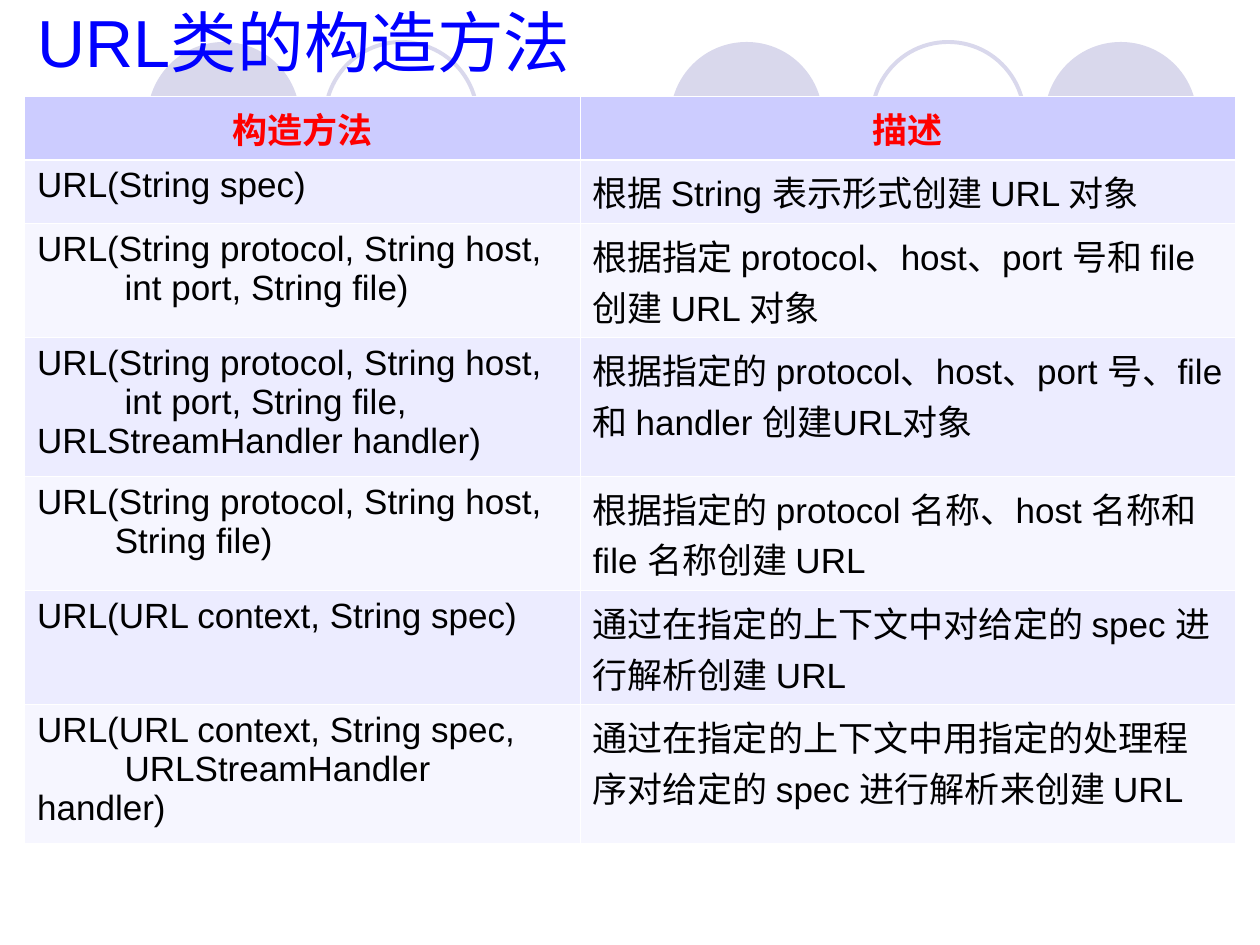
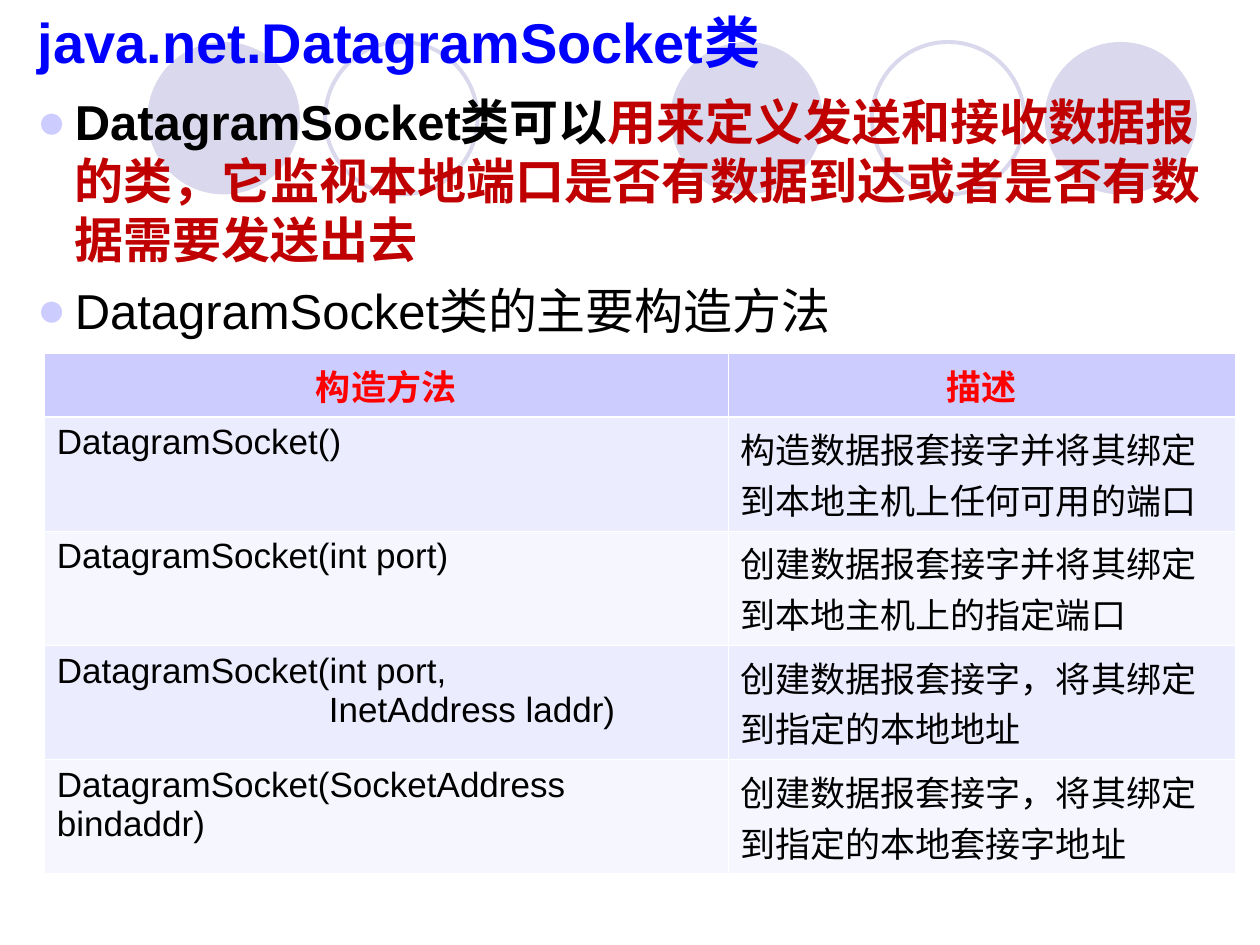
from collections import namedtuple

from lxml import etree
from pptx import Presentation
from pptx import util as u
from pptx.dml.color import RGBColor
from pptx.enum import lang, shapes, text
from pptx.oxml import ns

# The page is a grid of 100 columns by 75 rows.
WIDTH, HEIGHT = u.Inches(10), u.Inches(7.5)
COLUMN, ROW = WIDTH / 100, HEIGHT / 75

FONT = "Arial"
BLACK = RGBColor(0x00, 0x00, 0x00)
WHITE = RGBColor(0xFF, 0xFF, 0xFF)
BLUE = RGBColor(0x00, 0x00, 0xFF)
RED = RGBColor(0xFF, 0x00, 0x00)
DARK_RED = RGBColor(0xC0, 0x00, 0x00)
CIRCLE = RGBColor(0xD9, 0xD8, 0xEC)
LAVENDER = RGBColor(0xCC, 0xCC, 0xFF)
STRIPES = RGBColor(0xEC, 0xEC, 0xFF), RGBColor(0xF6, 0xF6, 0xFF)

THIN, THICK = 0.45, 1.47
HEADINGS = "构造方法", "描述"
LINE, TWO_LINES, THREE_LINES = 5.03, 9.06, 11

Box = namedtuple("Box", "left top width height")
TITLE_BOX = Box(2, 0.5, 96.1, 5.5)
BODY_BOX = Box(1.95, 6.8, 96.1, 65.4)

URL_ROWS = [
    (LINE, "URL(String spec)", "根据 String 表示形式创建 URL 对象"),
    (TWO_LINES, "URL(String protocol, String host,\n         int port, String file)",
     "根据指定 protocol、host、port 号和 file 创建 URL 对象"),
    (THREE_LINES, "URL(String protocol, String host,\n"
     "         int port, String file, URLStreamHandler handler)",
     "根据指定的 protocol、host、port 号、file 和 handler 创建URL对象"),
    (TWO_LINES, "URL(String protocol, String host,\n        String file)",
     "根据指定的 protocol 名称、host 名称和 file 名称创建 URL"),
    (TWO_LINES, "URL(URL context, String spec)",
     "通过在指定的上下文中对给定的 spec 进行解析创建 URL"),
    (THREE_LINES, "URL(URL context, String spec,\n         URLStreamHandler handler)",
     "通过在指定的上下文中用指定的处理程序对给定的 spec 进行解析来创建 URL"),
]
SOCKET_ROWS = [
    (TWO_LINES, "DatagramSocket()", "构造数据报套接字并将其绑定到本地主机上任何可用的端口"),
    (TWO_LINES, "DatagramSocket(int port)", "创建数据报套接字并将其绑定到本地主机上的指定端口"),
    (TWO_LINES, "DatagramSocket(int port,\n                            InetAddress laddr)",
     "创建数据报套接字，将其绑定到指定的本地地址"),
    (TWO_LINES, "DatagramSocket(SocketAddress bindaddr)",
     "创建数据报套接字，将其绑定到指定的本地套接字地址"),
]


def place(box):
    """Turn a box in grid units into lengths on the page."""
    return [round(size * unit) for size, unit in zip(box, (COLUMN, ROW) * 2)]


def write(para, words, size=20, color=BLACK, bold=False):
    span = para.add_run()
    span.text = words
    font = span.font
    font.name, font.size, font.bold = FONT, u.Pt(size), bold
    font.color.rgb = color
    font.language_id = lang.MSO_LANGUAGE_ID.SIMPLIFIED_CHINESE


def add_child(parent, tag, **attributes):
    return etree.SubElement(parent, ns.qn(tag), attributes)


def add_circles(page, layout):
    """Put the row of circles behind everything on the shared layout."""
    for left, filled in [(11.7, True), (25.8, False), (53.2, True), (69.2, False), (82.9, True)]:
        circle = page.shapes.add_shape(
            shapes.MSO_SHAPE.OVAL, *place(Box(left, 3.33, 12.1, 12.1)))
        circle.shadow.inherit = False
        if filled:
            circle.fill.solid()
            circle.fill.fore_color.rgb = CIRCLE
            circle.line.fill.background()
        else:
            circle.fill.background()
            circle.line.color.rgb = CIRCLE
            circle.line.width = u.Pt(2.25)
        layout.shapes.element.insert(2, circle.element)


def add_title(page, words, **style):
    title = page.shapes.title
    title.left, title.top, title.width, title.height = place(TITLE_BOX)
    frame = title.text_frame
    frame.auto_size = text.MSO_AUTO_SIZE.NONE
    frame.vertical_anchor = text.MSO_ANCHOR.MIDDLE
    para = frame.paragraphs[0]
    para.alignment = text.PP_ALIGN.LEFT
    write(para, words, color=BLUE, **style)


def add_bullet(para):
    indent = round(3 * COLUMN)
    props = para._p.get_or_add_pPr()
    props.set("marL", str(indent))
    props.set("indent", str(-indent))
    add_child(add_child(props, "a:buClr"), "a:srgbClr", val=str(LAVENDER))
    add_child(props, "a:buFont", typeface=FONT)
    add_child(props, "a:buChar", char="●")


def add_body(page, box, bullets):
    """Write bullets, each a list of (words, format) spans."""
    frame = page.shapes.add_textbox(*place(box)).text_frame
    frame.word_wrap = True
    for index, spans in enumerate(bullets):
        para = frame.add_paragraph() if index else frame.paragraphs[0]
        add_bullet(para)
        if index:
            para.space_before = u.Pt(7)
        for words, style in spans:
            write(para, words, size=28, **style)


def set_borders(cell, row):
    props = cell._tc.get_or_add_tcPr()
    widths = {"L": THIN, "R": THIN,
              "T": THICK if row == 1 else THIN, "B": THICK if row == 0 else THIN}
    for side, width in widths.items():
        line = add_child(props, f"a:ln{side}", w=str(u.Pt(width)))
        add_child(add_child(line, "a:solidFill"), "a:srgbClr", val=str(WHITE))


def fill_cell(cell, words, row):
    header = row == 0
    set_borders(cell, row)
    cell.fill.solid()
    cell.fill.fore_color.rgb = LAVENDER if header else STRIPES[(row - 1) % 2]
    for index, line in enumerate(words.split("\n")):
        para = cell.text_frame.add_paragraph() if index else cell.text_frame.paragraphs[0]
        para.alignment = text.PP_ALIGN.CENTER if header else text.PP_ALIGN.LEFT
        para._p.get_or_add_pPr().set("hangingPunct", "0")
        write(para, line, color=RED if header else BLACK, bold=header)


def add_method_table(page, left, top, columns, rows):
    rows = [(LINE, *HEADINGS), *rows]
    box = Box(left, top, sum(columns), sum(row[0] for row in rows))
    table = page.shapes.add_table(len(rows), len(columns), *place(box)).table
    for column, width in zip(table.columns, columns):
        column.width = round(width * COLUMN)
    for index, (height, *cells) in enumerate(rows):
        table.rows[index].height = round(height * ROW)
        for column, words in enumerate(cells):
            fill_cell(table.cell(index, column), words, index)


def build_url_page(page):
    add_title(page, "URL类的构造方法", size=38)
    add_method_table(page, 1.95, 7.65, (44.1, 52), URL_ROWS)


def build_socket_page(page):
    add_title(page, "java.net.DatagramSocket类", size=32, bold=True)
    add_body(page, BODY_BOX, [
        [("DatagramSocket类可以", {"bold": True}),
         ("用来定义发送和接收数据报的类，它监视本地端口是否有数据到达或者是否有数据需要发送出去",
          {"bold": True, "color": DARK_RED})],
        [("DatagramSocket类的主要构造方法", {})],
    ])
    add_method_table(page, 3.52, 28.05, (54.25, 40.25), SOCKET_ROWS)


def main():
    deck = Presentation()
    deck.slide_width, deck.slide_height = WIDTH, HEIGHT
    layout = deck.slide_layouts.get_by_name("Title Only")
    url_page, socket_page = (deck.slides.add_slide(layout) for _ in range(2))
    add_circles(url_page, layout)
    build_url_page(url_page)
    build_socket_page(socket_page)
    deck.save("out.pptx")


if __name__ == "__main__":
    main()
